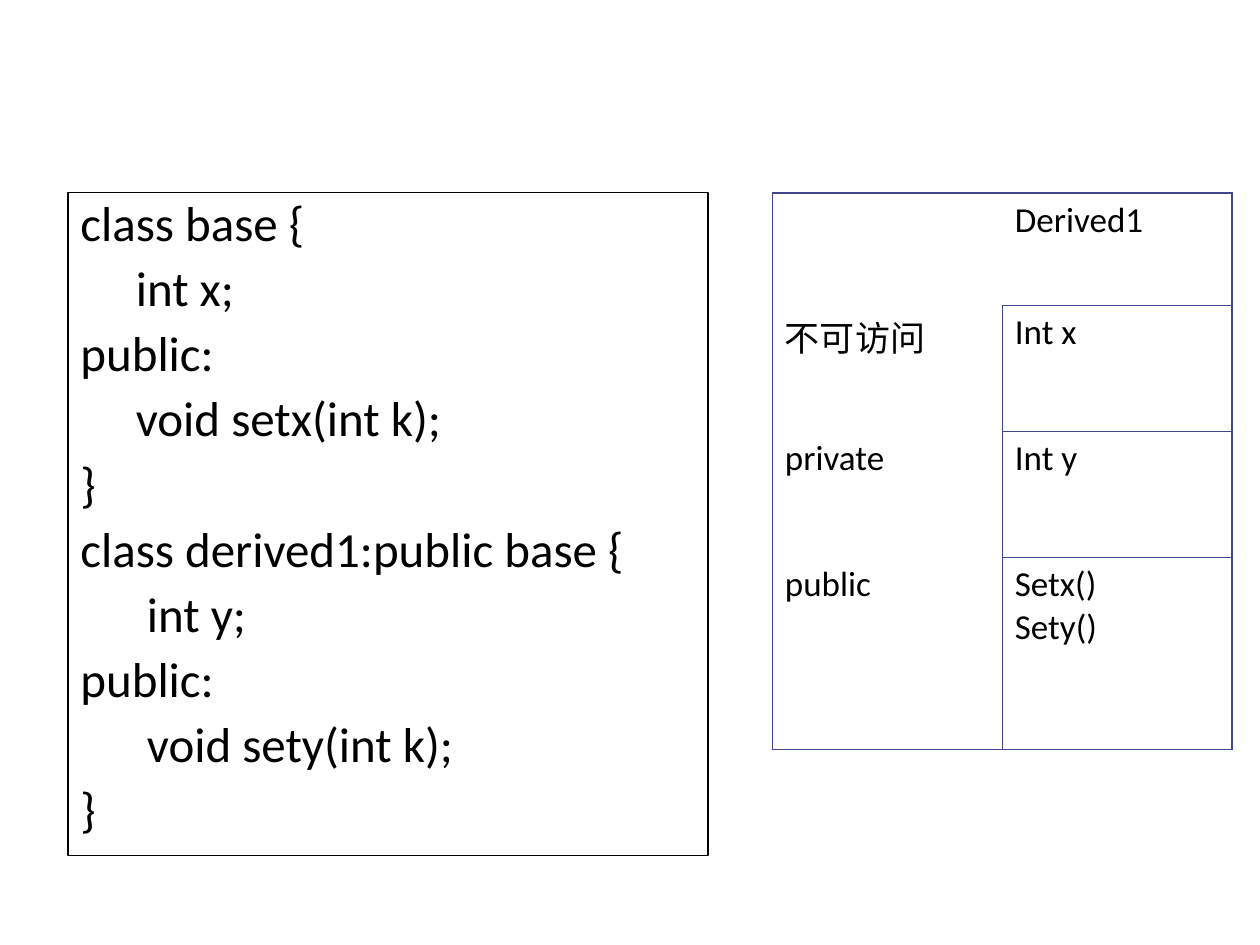
from dataclasses import dataclass

from lxml.etree import SubElement
from pptx import Presentation
from pptx.dml.color import RGBColor as RGB
from pptx.enum.shapes import MSO_SHAPE as SHAPE
from pptx.enum.text import MSO_ANCHOR as ANCHOR, PP_ALIGN as ALIGN
from pptx.oxml.ns import qn
from pptx.util import Inches, Pt


@dataclass(frozen=True)
class Theme:
    face: str = "Calibri"
    ink: str = "000000"
    rule: str = "40458C"
    code: int = 28
    cell: int = 20
    thick: float = 0.96
    thin: float = 0.45


THEME = Theme()
TOP = 1.53

CODE = """class base {
     int x;
public:
     void setx(int k);
}
class derived1:public base {
      int y;
public:
      void sety(int k);
}"""

ROWS = [
    (0.89, "", "Derived1"),
    (1, "不可访问", "Int x"),
    (1, "private", "Int y"),
    (1.53, "public", "Setx()\nSety()"),
]


def style(par, size):
    par.font.name = THEME.face
    par.font.size = Pt(size)
    par.font.color.rgb = RGB.from_string(THEME.ink)


def add_code(slide, text, left, top, width, height):
    box = slide.shapes.add_shape(
        SHAPE.RECTANGLE, Inches(left), Inches(top), Inches(width), Inches(height))
    box.shadow.inherit = False
    box.fill.background()
    box.line.color.rgb = RGB.from_string(THEME.ink)
    box.line.width = Pt(0.75)
    frame = box.text_frame
    frame.word_wrap = True
    frame.vertical_anchor = ANCHOR.TOP
    frame.text = text
    for i, par in enumerate(frame.paragraphs):
        par.alignment = ALIGN.LEFT
        par.line_spacing = 0.9
        par.space_before = Pt(7 if i else 0)
        # Hanging indent
        props = par._p.get_or_add_pPr()
        props.set("marL", str(Inches(0.38)))
        props.set("indent", str(-Inches(0.38)))
        style(par, THEME.code)


def add_edge(cell, side, width):
    """Draw one cell border, or clear it when width is 0."""
    line = SubElement(cell._tc.get_or_add_tcPr(), qn(f"a:ln{side}"), w=str(Pt(width)))
    if width:
        fill = SubElement(line, qn("a:solidFill"))
        SubElement(fill, qn("a:srgbClr"), val=THEME.rule)
    else:
        SubElement(line, qn("a:noFill"))


def add_grid(slide, rows, left, top, width):
    height = sum(row[0] for row in rows)
    table = slide.shapes.add_table(
        len(rows), 2, Inches(left), Inches(top), Inches(width), Inches(height)).table
    table.first_row = table.horz_banding = False
    last = len(rows) - 1
    for r, (tall, *texts) in enumerate(rows):
        table.rows[r].height = Inches(tall)
        # Thick frame; thin lines only around the member cells
        inner = THEME.thin if r else 0
        for c, text in enumerate(texts):
            cell = table.cell(r, c)
            cell.text = text
            for par in cell.text_frame.paragraphs:
                style(par, THEME.cell)
            split = THEME.thin if c else 0
            add_edge(cell, "L", inner if c else THEME.thick)
            add_edge(cell, "R", THEME.thick if c else inner)
            add_edge(cell, "T", split if r else THEME.thick)
            add_edge(cell, "B", split if r < last else THEME.thick)
            cell.fill.background()


def main():
    deck = Presentation()
    deck.slide_width, deck.slide_height = Inches(10), Inches(7.5)
    slide = deck.slides.add_slide(deck.slide_layouts[6])
    # Member access table
    add_grid(slide, ROWS, 6.13, TOP, 3.65)
    # Class listing
    add_code(slide, CODE, 0.54, TOP, 5.08, 5.26)
    deck.save("out.pptx")


if __name__ == "__main__":
    main()
